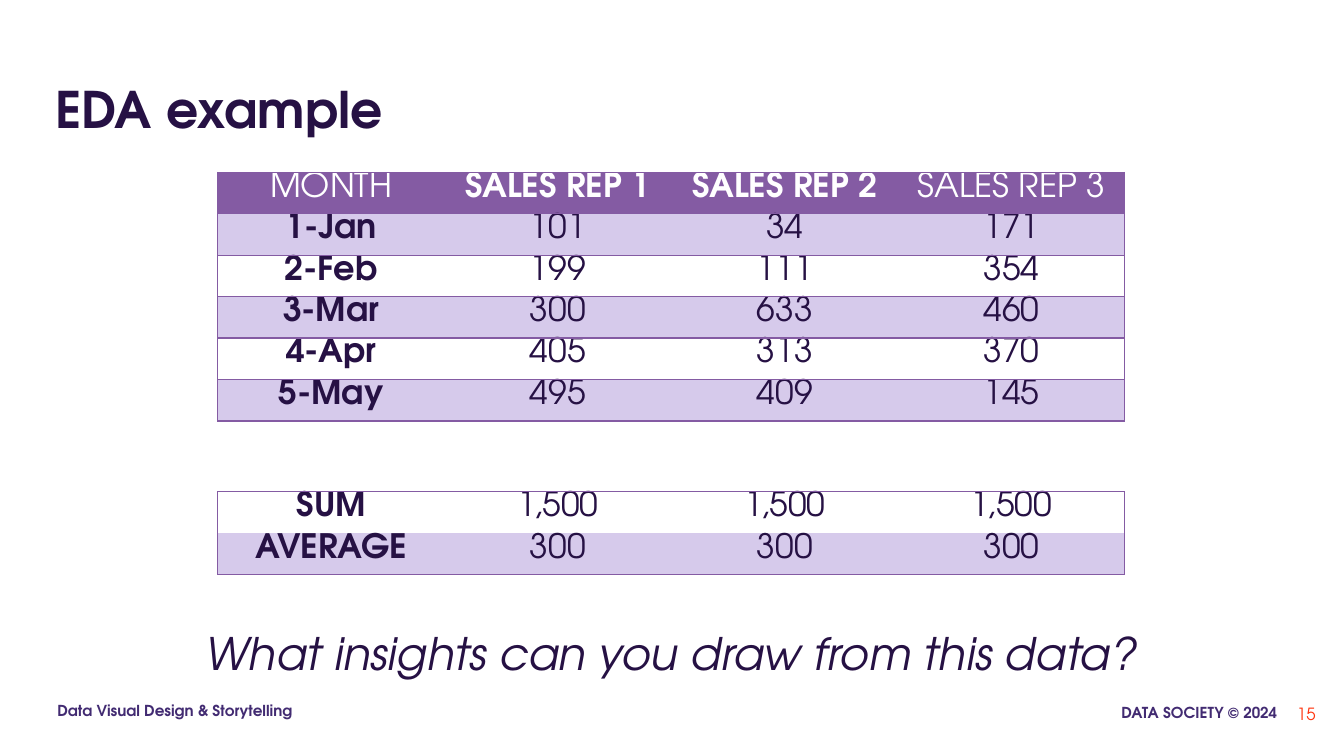
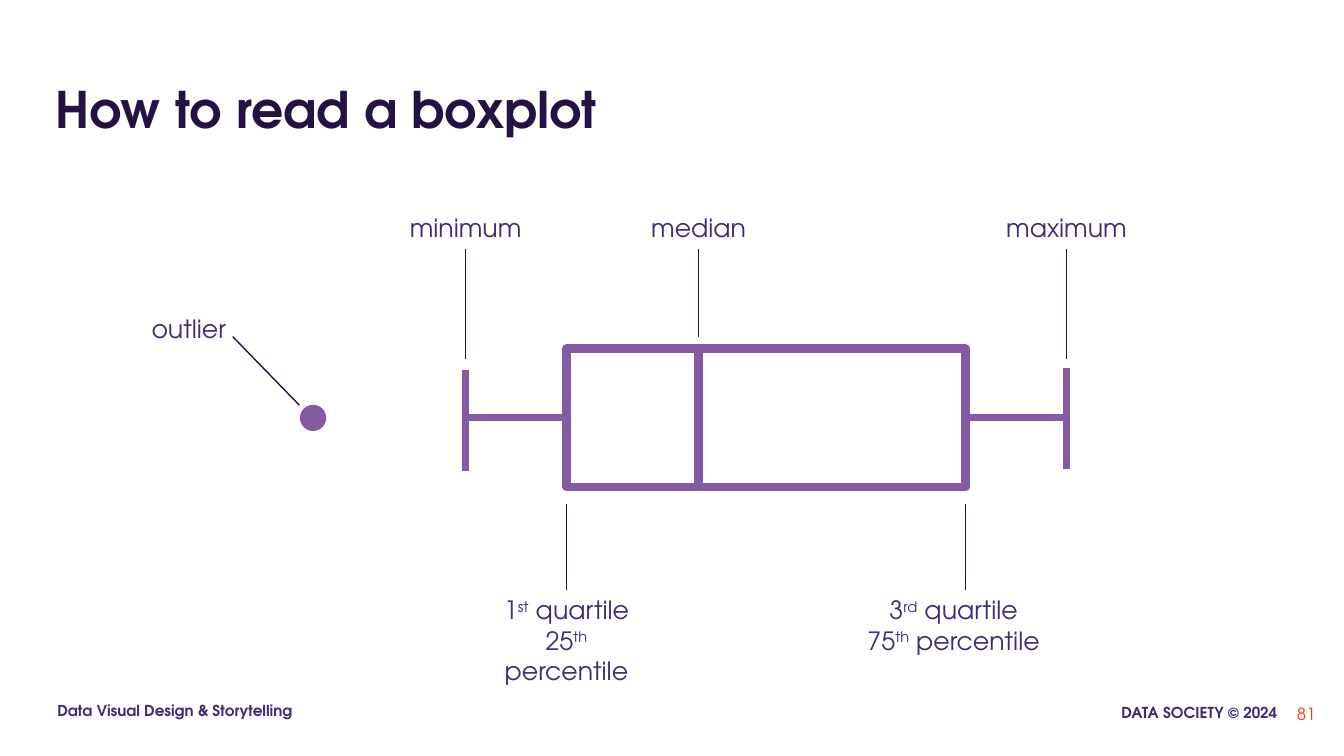
from dataclasses import dataclass

import pptx
import pptx.dml.color
import pptx.enum.shapes
import pptx.enum.text
import pptx.oxml
import pptx.oxml.ns
import pptx.oxml.xmlchemy
import pptx.util
from pptx.dml.color import RGBColor
from pptx.enum.shapes import MSO_CONNECTOR, MSO_SHAPE
from pptx.enum.text import MSO_ANCHOR, PP_ALIGN
from pptx.util import Pt

FONT = "TeX Gyre Adventor"
INK = RGBColor(0x26, 0x11, 0x44)
VIOLET = RGBColor(0x42, 0x2B, 0x72)
PURPLE = RGBColor(0x84, 0x5B, 0xA3)
LILAC = RGBColor(0xD6, 0xCA, 0xEB)
WHITE = RGBColor(0xFF, 0xFF, 0xFF)
ORANGE = RGBColor(0xFF, 0x35, 0x0F)


@dataclass(frozen=True)
class TextStyle:
    size: float
    color: RGBColor
    bold: bool = False
    italic: bool = False
    align: PP_ALIGN = PP_ALIGN.CENTER


@dataclass(frozen=True)
class Area:
    left: float
    top: float
    width: float
    height: float

    def points(self) -> tuple:
        return tuple(Pt(n) for n in (self.left, self.top, self.width, self.height))


@dataclass(frozen=True)
class Label:
    text: str  # parts between carets are superscript
    area: Area


@dataclass(frozen=True)
class Stroke:
    start: tuple[float, float]
    end: tuple[float, float]


TITLE = TextStyle(36, INK, bold=True, align=PP_ALIGN.LEFT)
FOOTER_LEFT = TextStyle(10.8, VIOLET, bold=True, align=PP_ALIGN.LEFT)
FOOTER_RIGHT = TextStyle(10.8, VIOLET, bold=True, align=PP_ALIGN.RIGHT)
PAGE_NUMBER = TextStyle(12, ORANGE, align=PP_ALIGN.RIGHT)
QUESTION = TextStyle(32, INK, italic=True)
LABEL = TextStyle(18, VIOLET)

# Sales tables
TABLE_LEFT, COLUMN_WIDTH, ROW_HEIGHT = 155.5, 162, 29.6
SALES = [
    ("MONTH", "SALES REP 1", "SALES REP 2", "SALES REP 3"),
    ("1-Jan", "101", "34", "171"),
    ("2-Feb", "199", "111", "354"),
    ("3-Mar", "300", "633", "460"),
    ("4-Apr", "405", "313", "370"),
    ("5-May", "495", "409", "145"),
]
TOTALS = [
    ("SUM", "1,500", "1,500", "1,500"),
    ("AVERAGE", "300", "300", "300"),
]

# Boxplot positions
MINIMUM, QUARTILE_1, MEDIAN, QUARTILE_3, MAXIMUM = 332.6, 404.6, 499, 689.8, 761.8
BOX_TOP, BOX_HEIGHT = 249, 99
MIDDLE = BOX_TOP + BOX_HEIGHT / 2
LABEL_WIDTH, LABEL_HEIGHT, LABEL_TOP = 104, 29, 148.3
QUARTILE_TOP = 421.2
DOT_SIZE = 18


def style_run(span, style: TextStyle) -> None:
    font = span.font
    font.name, font.size = FONT, Pt(style.size)
    font.bold, font.italic = style.bold, style.italic
    font.color.rgb = style.color


def add_text(page, text: str, area: Area, style: TextStyle,
             anchor: MSO_ANCHOR = MSO_ANCHOR.TOP, inset: float | None = None) -> None:
    frame = page.shapes.add_textbox(*area.points()).text_frame
    frame.word_wrap = True
    frame.vertical_anchor = anchor
    if inset is not None:
        frame.margin_left = frame.margin_right = Pt(inset)
        frame.margin_top = frame.margin_bottom = Pt(inset)
    frame.text = text.replace("^", "")
    for para, line in zip(frame.paragraphs, text.split("\n")):
        para.alignment = style.align
        parts = line.split("^")
        para.runs[0].text = parts[0]
        for part in parts[1:]:
            para.add_run().text = part
        for index, span in enumerate(para.runs):
            style_run(span, style)
            if index % 2:
                span._r.get_or_add_rPr().set("baseline", "30000")


def add_page(deck, title: str, number: int):
    page = deck.slides.add_slide(deck.slide_layouts[6])
    add_text(page, "DATA SOCIETY © 2024", Area(761, 496, 160, 30), FOOTER_RIGHT, inset=8.64)
    add_text(page, "Data Visual Design & Storytelling", Area(32.4, 494.6, 197.3, 30),
             FOOTER_LEFT, inset=8.64)
    add_text(page, str(number), Area(889.2, 489.6, 57.6, 41), PAGE_NUMBER, MSO_ANCHOR.MIDDLE)
    add_text(page, title, Area(32.4, 41.8, 894.2, 60.5), TITLE, MSO_ANCHOR.BOTTOM)
    return page


def set_borders(cell, visible: str) -> None:
    properties = cell._tc.get_or_add_tcPr()
    for side in "LRTB":
        paint = (f'<a:solidFill><a:srgbClr val="{PURPLE}"/></a:solidFill>'
                 if side in visible else "<a:noFill/>")
        properties.append(pptx.oxml.parse_xml(
            f'<a:ln{side} {pptx.oxml.ns.nsdecls("a")} w="{Pt(1)}">{paint}</a:ln{side}>'))


def add_sales_table(page, rows: list, top: float, header: bool, ruled: bool) -> None:
    columns = len(rows[0])
    area = Area(TABLE_LEFT, top, COLUMN_WIDTH * columns, ROW_HEIGHT * len(rows))
    table = page.shapes.add_table(len(rows), columns, *area.points()).table
    table.first_row = table.horz_banding = False
    for r, values in enumerate(rows):
        table.rows[r].height = Pt(ROW_HEIGHT)
        is_header = header and r == 0
        for c, value in enumerate(values):
            cell = table.cell(r, c)
            sides = "L" * (c == 0) + "R" * (c == columns - 1)
            sides += "T" * (ruled or r == 0) + "B" * (ruled or r == len(rows) - 1)
            set_borders(cell, sides)
            cell.fill.solid()
            cell.fill.fore_color.rgb = PURPLE if is_header else LILAC if r % 2 else WHITE
            cell.margin_top = cell.margin_bottom = 0
            cell.text_frame.text = value
            para = cell.text_frame.paragraphs[0]
            para.alignment = PP_ALIGN.CENTER
            bold = c in (1, 2) if is_header else c == 0
            style_run(para.runs[0], TextStyle(24, WHITE if is_header else INK, bold))


def add_line(page, stroke: Stroke, color: RGBColor, width: float):
    ends = [Pt(n) for n in (*stroke.start, *stroke.end)]
    line = page.shapes.add_connector(MSO_CONNECTOR.STRAIGHT, *ends)
    line.line.color.rgb = color
    line.line.width = Pt(width)
    line._element.spPr.append(
        pptx.oxml.parse_xml(f'<a:effectLst {pptx.oxml.ns.nsdecls("a")}/>'))
    return line


def add_outline(page, preset: MSO_SHAPE, area: Area, width: float, filled: bool = False):
    shape = page.shapes.add_shape(preset, *area.points())
    shape.shadow.inherit = False
    shape.line.color.rgb = PURPLE
    shape.line.width = Pt(width)
    if filled:
        shape.fill.solid()
        shape.fill.fore_color.rgb = PURPLE
    else:
        shape.fill.background()
    return shape


def build_example(deck) -> None:
    page = add_page(deck, "EDA example", 15)
    add_sales_table(page, TOTALS, 351.2, header=False, ruled=False)
    add_sales_table(page, SALES, 123.1, header=True, ruled=True)
    add_text(page, "What insights can you draw from this data?",
             Area(79.2, 443.5, 801.4, 46), QUESTION)


def build_boxplot(deck) -> None:
    page = add_page(deck, "How to read a boxplot", 81)

    # Box halves and whiskers
    upper, lower = (
        add_outline(page, MSO_SHAPE.RECTANGLE,
                    Area(left, BOX_TOP, right - left, BOX_HEIGHT), 6)
        for left, right in ((MEDIAN, QUARTILE_3), (QUARTILE_1, MEDIAN)))
    whiskers = ((upper, 3, QUARTILE_3, MAXIMUM), (lower, 1, QUARTILE_1, MINIMUM))
    for box, side, inner, outer in whiskers:
        whisker = add_line(page, Stroke((inner, MIDDLE), (outer, MIDDLE)), PURPLE, 5)
        whisker.begin_connect(box, side)
    for x, top in ((MINIMUM, 264.2), (MAXIMUM, 262.8)):
        add_line(page, Stroke((x, top), (x, top + 72)), PURPLE, 5)

    # Outlier
    add_outline(page, MSO_SHAPE.OVAL,
                Area(214.6, MIDDLE - DOT_SIZE / 2, DOT_SIZE, DOT_SIZE), 0.75, filled=True)

    # Labels
    labels = [Label(text, Area(x - LABEL_WIDTH / 2, LABEL_TOP, LABEL_WIDTH, LABEL_HEIGHT))
              for text, x in (("minimum", MINIMUM), ("maximum", MAXIMUM), ("median", MEDIAN))]
    labels += [
        Label("outlier", Area(82.8, 220.3, LABEL_WIDTH, LABEL_HEIGHT)),
        Label("3^rd^ quartile\n75^th^ percentile", Area(610.6, QUARTILE_TOP, 141.1, 51)),
        Label("1^st^ quartile\n25^th^ percentile", Area(338.4, QUARTILE_TOP, 132.5, 73)),
    ]
    for label in labels:
        add_text(page, label.text, label.area, LABEL)

    # Leader lines
    leaders = [Stroke((x, top), (x, bottom)) for x, top, bottom in (
        (MEDIAN, 177.8, 240.5), (MINIMUM, 177.8, 256.3), (MAXIMUM, 177.8, 256.3),
        (QUARTILE_1, 360, QUARTILE_TOP), (QUARTILE_3, 360, QUARTILE_TOP))]
    leaders.append(Stroke((166.3, 240.5), (213.8, 289.4)))
    for leader in leaders:
        add_line(page, leader, INK, 1)


def main() -> None:
    deck = pptx.Presentation()
    deck.slide_width, deck.slide_height = Pt(960), Pt(540)
    build_example(deck)
    build_boxplot(deck)
    deck.save("out.pptx")


if __name__ == "__main__":
    main()
